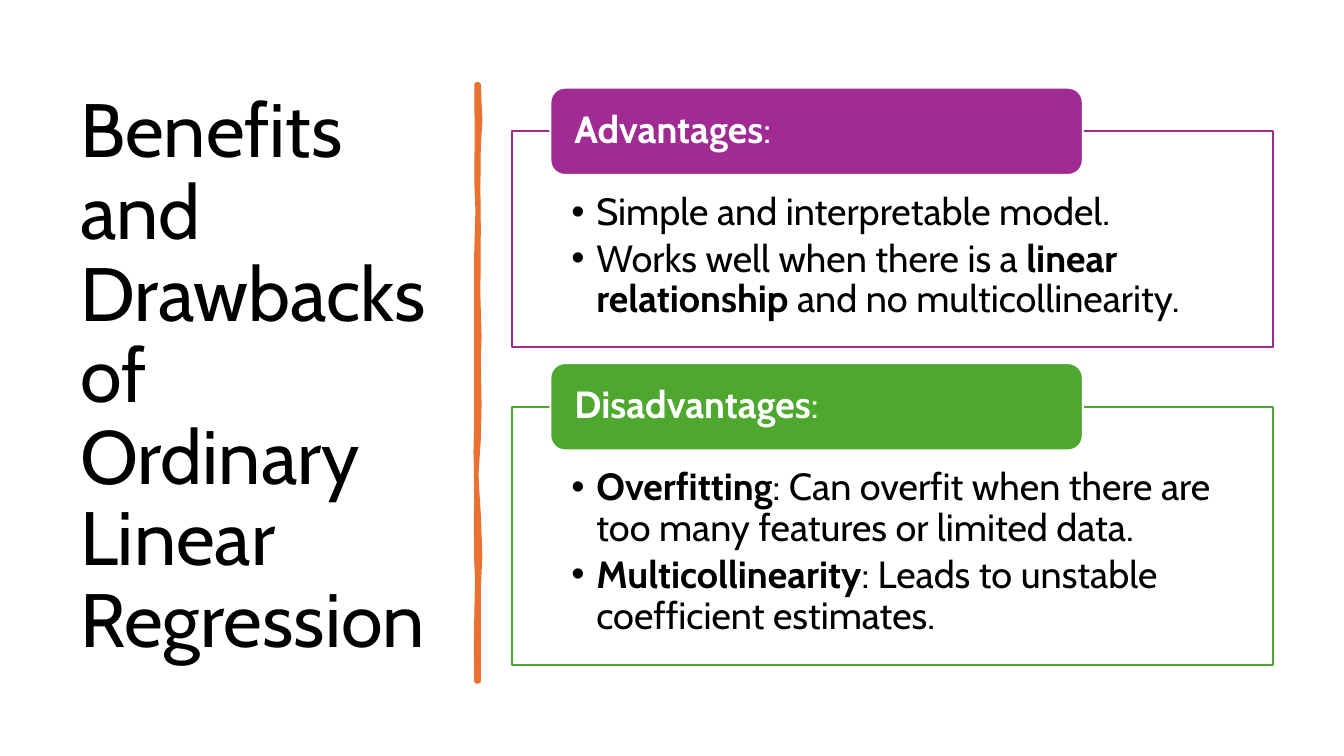
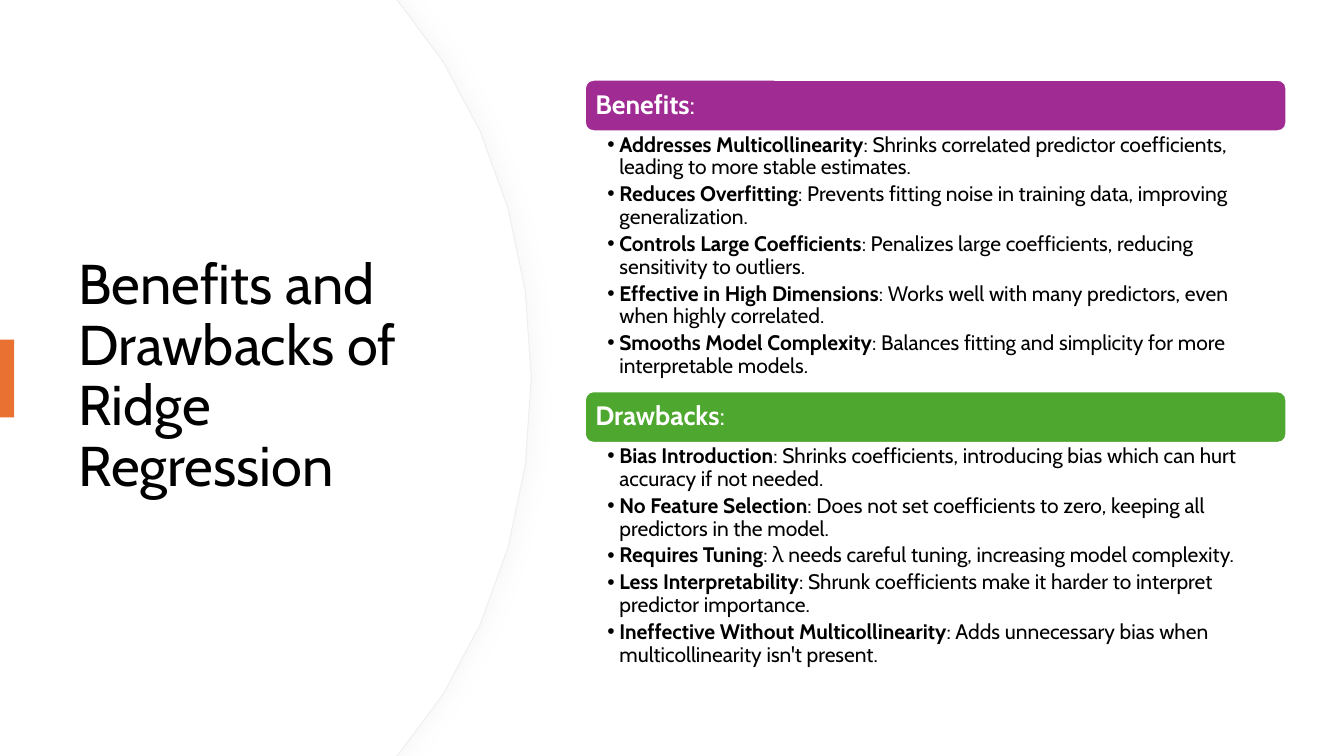
"""Build two slides on the benefits and drawbacks of linear and ridge regression."""
import pptx
import pptx.dml.color
import pptx.enum.shapes
import pptx.enum.text
import pptx.oxml
import pptx.oxml.ns
import pptx.util

Cm, Pt = pptx.util.Cm, pptx.util.Pt
RGB = pptx.dml.color.RGBColor.from_string
SHAPE = pptx.enum.shapes.MSO_SHAPE
ANCHOR = pptx.enum.text.MSO_ANCHOR

THEME = {
    "font": "Cabin", "text": "000000", "white": "FFFFFF", "accent": "E97132",
    "sections": ("A02B93", "4EA72E"), "edge": "EFEFEF", "shadow": "D9D9D9",
    "line_spacing": 0.9, "outline": 1.5,
}

OLS = {
    "title": "Benefits and Drawbacks of Ordinary Linear Regression",
    "title_box": (1.77, 1.77, 9.5, 15.52), "title_size": 54,
    "top": 2.21, "gap": 0.4, "size": 27, "heading_size": 27,
    "tab": {"left": 13.87, "width": 13.42, "height": 2.2, "inset": 0.5},
    "body": {"left": 12.9, "width": 19.18, "offset": 1.1, "framed": True,
             "insets": (1.5, 1.55, 1.5, 0.53), "indent": 0.63, "after": 4},
    "sections": [
        ("*Advantages*:", 5.44, [
            "Simple and interpretable model.",
            "Works well when there is a *linear relationship* and no multicollinearity.",
        ]),
        ("*Disadvantages*:", 6.5, [
            "*Overfitting*: Can overfit when there are too many features or limited data.",
            "*Multicollinearity*: Leads to unstable coefficient estimates.",
        ]),
    ],
}

RIDGE = {
    "title": "Benefits and Drawbacks of Ridge Regression",
    "title_box": (1.73, 3.23, 10, 12.57), "title_size": 40,
    "top": 2.01, "gap": 0, "size": 15, "heading_size": 19,
    "tab": {"left": 14.74, "width": 17.68, "height": 1.3, "inset": 0.2},
    "body": {"left": 14.74, "width": 17.68, "offset": 1.3, "framed": False,
             "insets": (0.57, 0.07, 0.38, 0.07), "indent": 0.3, "after": 3},
    "sections": [
        ("*Benefits*:", 6.55, [
            "*Addresses Multicollinearity*: Shrinks correlated predictor coefficients, leading to more stable estimates.",
            "*Reduces Overfitting*: Prevents fitting noise in training data, improving generalization.",
            "*Controls Large Coefficients*: Penalizes large coefficients, reducing sensitivity to outliers.",
            "*Effective in High Dimensions*: Works well with many predictors, even when highly correlated.",
            "*Smooths Model Complexity*: Balances fitting and simplicity for more interpretable models.",
        ]),
        ("*Drawbacks*:", 5.89, [
            "*Bias Introduction*: Shrinks coefficients, introducing bias which can hurt accuracy if not needed.",
            "*No Feature Selection*: Does not set coefficients to zero, keeping all predictors in the model.",
            "*Requires Tuning*: λ needs careful tuning, increasing model complexity.",
            "*Less Interpretability*: Shrunk coefficients make it harder to interpret predictor importance.",
            "*Ineffective Without Multicollinearity*: Adds unnecessary bias when multicollinearity isn't present.",
        ]),
    ],
}

BRUSH = [
    (12.06, 2.13), (12.1, 3.02), (12.06, 3.71), (12.05, 4.7), (12.06, 5.74),
    (12.05, 7.47), (12.08, 8.5), (12.06, 9.04), (12.08, 10.2), (12.06, 11.07),
    (12, 12), (12.06, 12.95), (12.1, 14), (12.06, 14.83), (12.06, 17.17),
    (12.01, 17.17), (12, 16.3), (12.01, 15.57), (12.03, 14.6), (12.01, 14.15),
    (12, 13.2), (12.01, 12.12), (11.99, 11.4), (12.01, 10.54), (12.01, 8.51),
    (12.01, 6.35), (12.04, 5.3), (12.01, 4.6), (12.02, 3.4), (12.01, 2.13),
]
ARC_START = (10.01, 0)
ARC_CURVES = [
    ((12.1, 2.39), (13.39, 5.79), (13.39, 9.53)),
    ((13.39, 13.26), (12.1, 16.66), (10.01, 19.05)),
]


def apply(obj, fmt):
    for name, value in fmt.items():
        setattr(obj, name, value)


def trace(start, curves, steps):
    points = [start]
    for a, b, end in curves:
        origin = points[-1]
        for i in range(1, steps + 1):
            t = i / steps
            u = 1 - t
            weights = (u ** 3, 3 * u * u * t, 3 * u * t * t, t ** 3)
            points.append(tuple(
                sum(w * pt[axis] for w, pt in zip(weights, (origin, a, b, end)))
                for axis in (0, 1)))
    return points


def paint(sp, fill, line=None, width=THEME["outline"]):
    sp.shadow.inherit = False
    sp.fill.solid()
    sp.fill.fore_color.rgb = RGB(fill)
    if line:
        sp.line.color.rgb = RGB(line)
        sp.line.width = Pt(width)
    else:
        sp.line.fill.background()
    return sp


def add_box(s, kind, box):
    return s.shapes.add_shape(kind, *map(Cm, box))


def add_outline(s, points):
    emu = [(Cm(x), Cm(y)) for x, y in points]
    builder = s.shapes.build_freeform(*emu[0])
    builder.add_line_segments(emu[1:], close=True)
    return builder.convert_to_shape()


def write(sp, lines, size, color, insets, anchor, after=0, indent=0):
    tf = sp.text_frame
    sides = ("margin_left", "margin_top", "margin_right", "margin_bottom")
    apply(tf, {"word_wrap": True, "vertical_anchor": anchor,
               **dict(zip(sides, map(Cm, insets)))})
    for i, line in enumerate(lines):
        p = tf.add_paragraph() if i else tf.paragraphs[0]
        apply(p, {"alignment": pptx.enum.text.PP_ALIGN.LEFT, "space_after": Pt(after),
                  "line_spacing": THEME["line_spacing"]})
        if indent:
            add_bullet(p, indent)
        for j, part in enumerate(line.split("*")):
            if part:
                r = p.add_run()
                r.text = part
                apply(r.font, {"name": THEME["font"], "size": Pt(size), "bold": j % 2 == 1})
                r.font.color.rgb = RGB(color)


def add_bullet(p, indent):
    pPr = p._p.get_or_add_pPr()
    pPr.set("marL", str(Cm(indent)))
    pPr.set("indent", str(-Cm(indent)))
    for tag, name, value in (("buFont", "typeface", "Arial"), ("buChar", "char", "•")):
        el = pptx.oxml.parse_xml(f'<a:{tag} {pptx.oxml.ns.nsdecls("a")} {name}="{value}"/>')
        pPr.append(el)


def add_title(s, data):
    sp = s.shapes.add_textbox(*map(Cm, data["title_box"]))
    write(sp, [data["title"]], data["title_size"], THEME["text"],
          (0.25, 0.13, 0.25, 0.13), ANCHOR.MIDDLE)


def add_sections(s, data):
    tab, body, top = data["tab"], data["body"], data["top"]
    for color, (heading, height, bullets) in zip(THEME["sections"], data["sections"]):
        box = (body["left"], top + body["offset"], body["width"], height)
        if body["framed"]:
            sp = paint(add_box(s, SHAPE.RECTANGLE, box), THEME["white"], color)
        else:
            sp = s.shapes.add_textbox(*map(Cm, box))
        write(sp, bullets, data["size"], THEME["text"], body["insets"], ANCHOR.TOP,
              body["after"], body["indent"])
        sp = add_box(s, SHAPE.ROUNDED_RECTANGLE,
                     (tab["left"], top, tab["width"], tab["height"]))
        paint(sp, color, THEME["white"])
        write(sp, [heading], data["heading_size"], THEME["white"],
              (tab["inset"], 0, tab["inset"], 0), ANCHOR.MIDDLE)
        top += body["offset"] + height + data["gap"]


def add_brush_rule(s):
    paint(add_outline(s, BRUSH), THEME["accent"], THEME["accent"], 3.25)


def add_arc_panel(s):
    arc = [(0, 0), *trace(ARC_START, ARC_CURVES, 5), (0, 19.05)]
    back = paint(add_outline(s, arc), THEME["white"], THEME["edge"], 0.75)
    effects = back._element.spPr.find(pptx.oxml.ns.qn("a:effectLst"))
    effects.append(pptx.oxml.parse_xml(
        f'<a:outerShdw {pptx.oxml.ns.nsdecls("a")} blurRad="{Pt(14)}" dist="{Pt(3)}" dir="0">'
        f'<a:srgbClr val="{THEME["shadow"]}"><a:alpha val="20000"/></a:srgbClr></a:outerShdw>'))
    front = [(max(x - 0.03, 0), y) for x, y in arc]
    paint(add_outline(s, front), THEME["white"])
    paint(add_box(s, SHAPE.RECTANGLE, (0, 8.56, 0.36, 1.96)), THEME["accent"])


def main():
    prs = pptx.Presentation()
    apply(prs, {"slide_width": Cm(33.87), "slide_height": Cm(19.05)})
    for data, decorate in ((OLS, add_brush_rule), (RIDGE, add_arc_panel)):
        s = prs.slides.add_slide(prs.slide_layouts[6])
        decorate(s)
        add_title(s, data)
        add_sections(s, data)
    prs.save("out.pptx")


if __name__ == "__main__":
    main()
